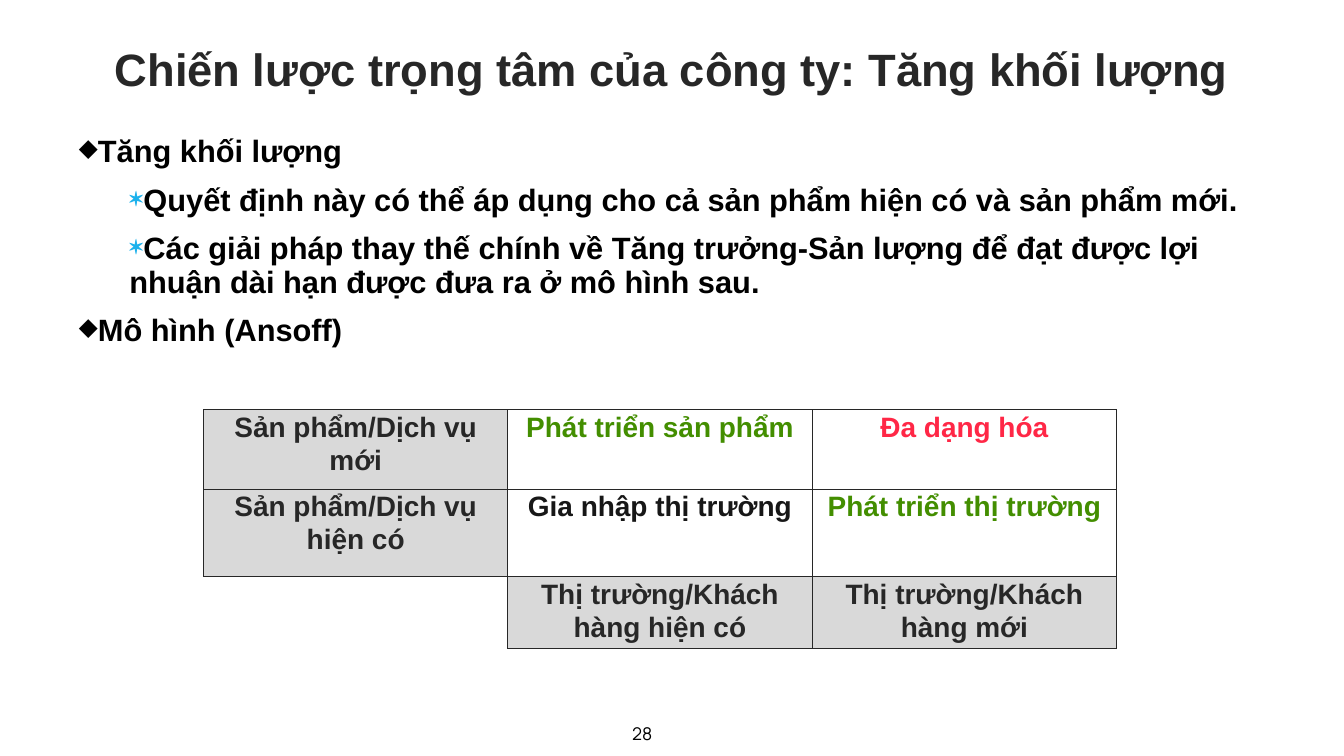
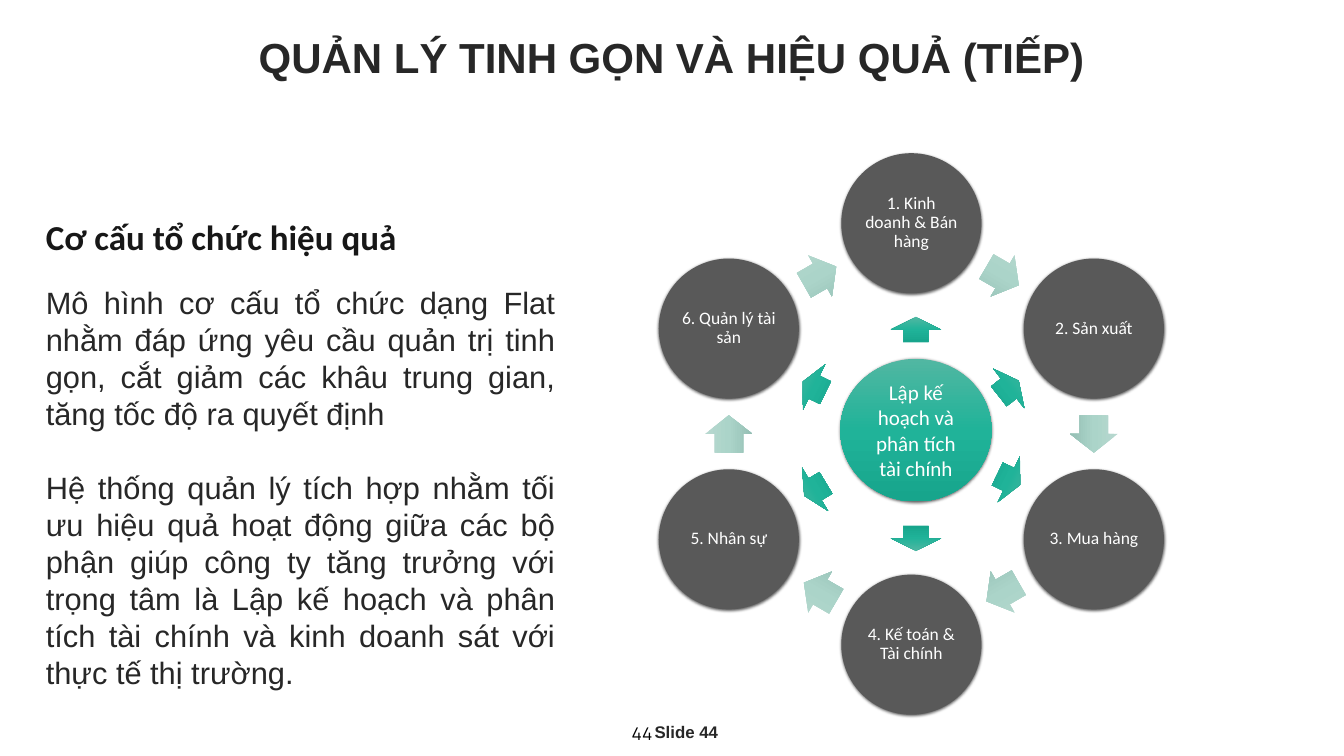
from copy import deepcopy
from dataclasses import dataclass
from math import cos, radians, sin

from lxml import etree
from pptx import Presentation
from pptx.dml.color import RGBColor
from pptx.enum import shapes, text
from pptx.oxml.ns import qn
from pptx.util import Cm, Pt


@dataclass(frozen=True)
class Theme:
    ink: str = "272727"
    dark: str = "171717"
    black: str = "000000"
    white: str = "FFFFFF"
    header: str = "D9D9D9"
    green: str = "438E00"
    red: str = "FF2746"
    star: str = "1BB1EC"
    node: str = "595959"
    arrow_line: str = "27AC95"
    teal: tuple = ("51B7A2", "20B399", "17A58C")
    pale: tuple = ("B7D8CF", "ABD4C9", "95BFB4")
    sans: str = "Arial"
    label: str = "Calibri"
    number: str = "Manrope"
    body_size: float = 44
    heading_size: float = 50
    table_size: float = 40
    hub_size: float = 30
    small_size: float = 25
    footer_size: float = 24


THEME = Theme()
CENTER = text.PP_ALIGN.CENTER
TITLE_ONLY = 5


def style(paragraph, size, color=THEME.ink, name=THEME.sans, bold=False,
          align=None, line_spacing=None):
    paragraph.alignment = align
    paragraph.line_spacing = line_spacing
    font = paragraph.font
    font.name, font.size, font.bold = name, Pt(size), bold
    font.color.rgb = RGBColor.from_string(color)


def set_title(slide, wording, box, size, line_spacing=None):
    title = slide.shapes.title
    title.left, title.top, title.width, title.height = map(Cm, box)
    frame = title.text_frame
    frame.text = wording
    frame.word_wrap = False
    frame.vertical_anchor = text.MSO_ANCHOR.MIDDLE
    style(frame.paragraphs[0], size, bold=True, align=CENTER, line_spacing=line_spacing)


def add_text(slide, box, wordings):
    """Add a wrapping text box and return its paragraphs for styling."""
    frame = slide.shapes.add_textbox(*map(Cm, box)).text_frame
    frame.word_wrap = True
    frame.text = "\n".join(wordings)
    return frame.paragraphs


def add_page_number(slide, number):
    paragraph, = add_text(slide, (30.35, 36.3, 4.01, 1.32), [str(number)])
    style(paragraph, THEME.small_size, THEME.black, THEME.number, align=CENTER)


def add_bullet(paragraph, level, symbol, color, percent):
    paragraph.level = level
    properties = paragraph._p.get_or_add_pPr()
    properties.set("marL", str(Cm(2.54 * (level + 1))))
    properties.set("indent", "0")
    bullet_color = etree.SubElement(properties, qn("a:buClr"))
    etree.SubElement(bullet_color, qn("a:srgbClr"), val=color)
    etree.SubElement(properties, qn("a:buSzPct"), val=str(percent * 1000))
    etree.SubElement(properties, qn("a:buChar"), char=symbol)


def add_bullet_list(slide, box, items):
    looks = {1: ("◆", THEME.black, 80), 2: ("✶", THEME.star, 90)}
    paragraphs = add_text(slide, box, [wording for _, wording in items])
    for index, (paragraph, (level, _)) in enumerate(zip(paragraphs, items)):
        add_bullet(paragraph, level, *looks[level])
        style(paragraph, THEME.body_size, THEME.black, bold=True, line_spacing=0.9)
        if index:
            paragraph.space_before = Pt(22)


def set_borders(cell, sides):
    """Draw the named sides (L, R, T, B) and hide the others."""
    properties = cell._tc.get_or_add_tcPr()
    for position, side in enumerate("LRTB"):
        line = etree.Element(qn(f"a:ln{side}"), w=str(Pt(1)))
        if side in sides:
            fill = etree.SubElement(line, qn("a:solidFill"))
            etree.SubElement(fill, qn("a:srgbClr"), val=THEME.ink)
        else:
            etree.SubElement(line, qn("a:noFill"))
        properties.insert(position, line)


def add_matrix(slide, left, top, widths, heights, rows):
    """Add a table whose rows hold (wording, text colour, fill, borders)."""
    table = slide.shapes.add_table(
        len(heights), len(widths), Cm(left), Cm(top),
        Cm(sum(widths)), Cm(sum(heights))).table
    table.first_row = table.horz_banding = False
    for column, width in zip(table.columns, widths):
        column.width = Cm(width)
    for row, height, contents in zip(table.rows, heights, rows):
        row.height = Cm(height)
        for cell, (wording, color, fill, borders) in zip(row.cells, contents):
            cell.margin_left = cell.margin_right = Cm(0.38)
            cell.margin_top = cell.margin_bottom = 0
            cell.text = wording
            style(cell.text_frame.paragraphs[0], THEME.table_size, color,
                  bold=True, align=CENTER, line_spacing=1.07)
            cell.fill.solid()
            cell.fill.fore_color.rgb = RGBColor.from_string(fill)
            set_borders(cell, borders)


def fill_gradient(shape, colors):
    """Fill from top to bottom with three evenly spaced colours."""
    shape.fill.gradient()
    shape.fill.gradient_angle = 270
    stops = shape._element.spPr.find(qn("a:gradFill")).find(qn("a:gsLst"))
    stops.insert(1, deepcopy(stops[0]))
    for index, (stop, color) in enumerate(zip(shape.fill.gradient_stops, colors)):
        stop.position = index / 2
        stop.color.rgb = RGBColor.from_string(color)


def add_centered(group, kind, center, size, fill, rotation=0, line=None):
    """Add a shape around its centre; a tuple as fill makes a gradient."""
    (x, y), (width, height) = center, size
    shape = group.shapes.add_shape(
        kind, Cm(x - width / 2), Cm(y - height / 2), Cm(width), Cm(height))
    shape.rotation = rotation
    shape.shadow.inherit = False
    if isinstance(fill, tuple):
        fill_gradient(shape, fill)
    else:
        shape.fill.solid()
        shape.fill.fore_color.rgb = RGBColor.from_string(fill)
    if line:
        shape.line.color.rgb = RGBColor.from_string(line)
        shape.line.width = Pt(0.5)
    else:
        shape.line.fill.background()
    return shape


def add_circle(group, center, size, fill, wording, font_size, margin, line_spacing=None):
    circle = add_centered(group, shapes.MSO_SHAPE.OVAL, center, size, fill)
    effects = circle._element.spPr.find(qn("a:effectLst"))
    shadow = etree.SubElement(effects, qn("a:outerShdw"), blurRad=str(Pt(4.5)),
                              dist=str(Pt(1.5)), dir="5400000", rotWithShape="0")
    color = etree.SubElement(shadow, qn("a:srgbClr"), val=THEME.black)
    etree.SubElement(color, qn("a:alpha"), val="63000")
    frame = circle.text_frame
    frame.text = wording
    frame.word_wrap = True
    frame.vertical_anchor = text.MSO_ANCHOR.MIDDLE
    frame.margin_left = frame.margin_right = Cm(margin)
    frame.margin_top = frame.margin_bottom = Cm(margin / 2)
    style(frame.paragraphs[0], font_size, THEME.white, THEME.label,
          align=CENTER, line_spacing=line_spacing)


def on_ring(center, radius, degrees):
    """Return the point at a clockwise angle from twelve o'clock."""
    angle = radians(degrees)
    return center[0] + radius * sin(angle), center[1] - radius * cos(angle)


def add_department_ring(slide, departments):
    center, radius = (45.92, 21.87), 10.62
    step = 360 / len(departments)
    group = slide.shapes.add_group_shape()
    for index, department in enumerate(departments):
        angle = index * step
        add_circle(group, on_ring(center, radius, angle), (7.06, 7.06), THEME.node,
                   department, THEME.small_size, 0.08, line_spacing=0.9)
        middle = on_ring(center, radius * cos(radians(step / 2)), angle + step / 2)
        arrow = add_centered(group, shapes.MSO_SHAPE.RIGHT_ARROW, middle,
                             (1.88, 2.39), THEME.pale, angle + step / 2)
        arrow.adjustments[0], arrow.adjustments[1] = 0.6, 0.5


def add_planning_hub(slide, wording):
    spokes = [(46.15, 16.61, 0), (50.83, 19.58, 51.8), (50.83, 24.16, 115.8),
              (46.15, 27.13, 180), (41.07, 24.66, 239), (41.02, 19.51, 296)]
    group = slide.shapes.add_group_shape()
    add_circle(group, (46.15, 21.68), (7.62, 7.19), THEME.teal,
               wording, THEME.hub_size, 0.25)
    for x, y, rotation in spokes:
        add_centered(group, shapes.MSO_SHAPE.UP_ARROW, (x, y), (2.54, 1.27),
                     THEME.teal, rotation, THEME.arrow_line)


def build_growth_slide(slide):
    add_page_number(slide, 28)
    set_title(slide, "Chiến lược trọng tâm của công ty: Tăng khối lượng",
              (3.45, 1.75, 60.78, 3.78), 64.7, line_spacing=0.9)
    add_bullet_list(slide, (-1.35, 6.73, 65.58, 13.23), [
        (1, "Tăng khối lượng"),
        (2, "Quyết định này có thể áp dụng cho cả sản phẩm hiện có và sản phẩm mới."),
        (2, "Các giải pháp thay thế chính về Tăng trưởng-Sản lượng để đạt được "
            "lợi nhuận dài hạn được đưa ra ở mô hình sau."),
        (1, "Mô hình (Ansoff)"),
    ])

    def header(wording):
        return wording, THEME.ink, THEME.header, "LRTB"

    def option(wording, color):
        return wording, color, THEME.white, "LRTB"

    add_matrix(slide, 10.26, 20.65, (15.32, 15.34, 15.34), (3.99, 4.42, 3.51), [
        [header("Sản phẩm/Dịch vụ mới"),
         option("Phát triển sản phẩm", THEME.green),
         option("Đa dạng hóa", THEME.red)],
        [header("Sản phẩm/Dịch vụ hiện có"),
         option("Gia nhập thị trường", THEME.dark),
         option("Phát triển thị trường", THEME.green)],
        [("", THEME.ink, THEME.white, "RT"),
         header("Thị trường/Khách hàng hiện có"),
         header("Thị trường/Khách hàng mới")],
    ])


def build_management_slide(slide):
    add_page_number(slide, 44)
    footer, = add_text(slide, (28.65, 36.25, 11.86, 2.64), ["Slide 44"])
    style(footer, THEME.footer_size, bold=True, align=CENTER)
    set_title(slide, "QUẢN LÝ TINH GỌN VÀ HIỆU QUẢ (TIẾP)",
              (12.57, 1.45, 42.55, 2.82), 60)
    add_department_ring(slide, [
        "1. Kinh doanh & Bán hàng", "2. Sản xuất", "3. Mua hàng",
        "4. Kế toán & Tài chính", "5. Nhân sự", "6. Quản lý tài sản"])
    add_planning_hub(slide, "Lập kế hoạch và phân tích tài chính")
    heading, = add_text(slide, (2.06, 10.74, 18.19, 2.39), ["Cơ cấu tổ chức hiệu quả"])
    style(heading, THEME.heading_size, THEME.dark, THEME.label, bold=True)
    paragraphs = add_text(slide, (2.06, 14.17, 26.19, 20.96), [
        "Mô hình cơ cấu tổ chức dạng Flat nhằm đáp ứng yêu cầu quản trị tinh gọn, "
        "cắt giảm các khâu trung gian, tăng tốc độ ra quyết định",
        "Hệ thống quản lý tích hợp nhằm tối ưu hiệu quả hoạt động giữa các bộ phận "
        "giúp công ty tăng trưởng với trọng tâm là Lập kế hoạch và phân tích tài chính "
        "và kinh doanh sát với thực tế thị trường.",
    ])
    for paragraph in paragraphs:
        style(paragraph, THEME.body_size, align=text.PP_ALIGN.JUSTIFY)
    paragraphs[1].space_before = Pt(53)


def main():
    presentation = Presentation()
    presentation.slide_width, presentation.slide_height = Cm(67.72), Cm(38.1)
    layout = presentation.slide_layouts[TITLE_ONLY]
    for build in (build_growth_slide, build_management_slide):
        build(presentation.slides.add_slide(layout))
    presentation.save("out.pptx")


if __name__ == "__main__":
    main()
